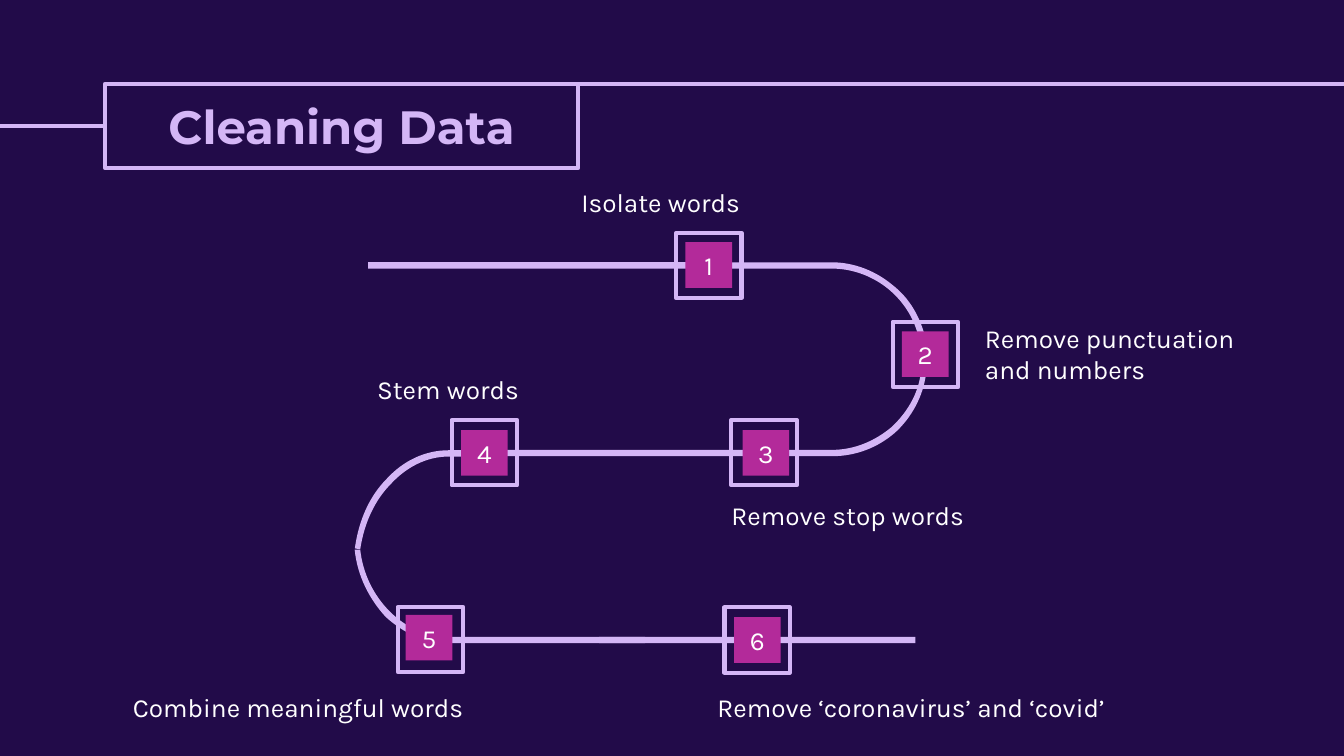
import pptx
import pptx.dml.color
import pptx.enum.shapes
import pptx.enum.text
import pptx.oxml.ns
import pptx.util
from lxml import etree

Pt = pptx.util.Pt
ALIGN = pptx.enum.text.PP_ALIGN
ANCHOR = pptx.enum.text.MSO_ANCHOR
NAVY, LILAC, MAGENTA, WHITE = "220B49", "D4B6F6", "B32A9A", "FFFFFF"

# Content: number, frame corner, square corner, label, label box, label alignment
STEPS = [
    ("1", (362.2, 124.7), (367.2, 129.8), "Isolate words",
     (233, 92.9, 170.6, 29.5), ALIGN.RIGHT),
    ("2", (478.3, 172.4), (483.2, 177.5), "Remove punctuation and numbers",
     (520.6, 165.3, 151.2, 33.1), ALIGN.LEFT),
    ("3", (391.8, 225), (397.8, 230.4), "Remove stop words",
     (384.8, 260.6, 151.2, 29.5), ALIGN.LEFT),
    ("4", (242, 225), (247, 230.4), "Stem words",
     (151.9, 193, 133.2, 29.5), ALIGN.RIGHT),
    ("5", (213.1, 325.1), (217.4, 329.4), "Combine meaningful words",
     (64.1, 363.3, 193, 33.1), ALIGN.LEFT),
    ("6", (388.1, 325.4), (393.3, 330.7), "Remove ‘coronavirus’ and ‘covid’",
     (377.3, 363.3, 247.7, 24.5), ALIGN.LEFT),
]
FRAME_SIZE, SQUARE_SIZE = 35, (25, 24.5)

# Road bands: outline points; six numbers make a cubic curve
BARS = [(321, 341.2, 76.4, 3.4), (414, 341.2, 76.4, 3.4), (197.3, 140.5, 175, 3.4)]
BENDS = [
    [(193, 294.5), (190, 294.5),
     (191.5, 308.9, 198, 321.1, 206.6, 330.5), (216, 339.1, 227.5, 344.6, 240.5, 344.6),
     (345.6, 344.6), (345.6, 341.2), (240.5, 341.2),
     (228.2, 341.2, 217.4, 336.2, 208.8, 327.6), (200.2, 319, 194.4, 307.4, 193, 294.5)],
    [(240.5, 241.2),
     (227.5, 241.2, 216, 247, 207.4, 256.3), (198, 265.7, 192.2, 278.6, 190.1, 293.8),
     (193, 294.3),
     (195.1, 280.1, 200.9, 267.8, 209.5, 259.2), (217.4, 250.6, 228.2, 244.6, 240.5, 244.6),
     (251.3, 244.6), (251.3, 241.2)],
    [(493.2, 200.2),
     (491.8, 211.7, 485.3, 221.8, 477.4, 229), (468.7, 236.2, 457.9, 241, 445.7, 241),
     (268.6, 241), (268.6, 244.4), (445.7, 244.4),
     (458.6, 244.4, 470.2, 239.8, 479.5, 231.8), (488.2, 223.9, 494.6, 212.4, 496.1, 200.2)],
    [(390.2, 140.5), (390.2, 143.9), (445.7, 143.9),
     (457.2, 143.9, 468, 148.3, 475.9, 154.8), (484.6, 162, 490.3, 171.4, 492.5, 182.2),
     (496.1, 182.2),
     (493.2, 169.9, 487.4, 159.8, 478.1, 152.6), (469.4, 145.4, 457.9, 140.5, 445.7, 140.5)],
]
UNITS = 100  # drawing units per point

deck = pptx.Presentation()
deck.slide_width, deck.slide_height = Pt(720), Pt(405)
page = deck.slides.add_slide(deck.slide_layouts[6])


def color(value):
    return pptx.dml.color.RGBColor.from_string(value)


def paint(shape, fill=None, line=None):
    shape.shadow.inherit = False
    if fill:
        shape.fill.solid()
        shape.fill.fore_color.rgb = color(fill)
    else:
        shape.fill.background()
    if line:
        shape.line.color.rgb = color(line)
        shape.line.width = Pt(2.25)
    else:
        shape.line.fill.background()


def add_rectangle(left, top, width, height, fill=None, line=None):
    box = page.shapes.add_shape(pptx.enum.shapes.MSO_SHAPE.RECTANGLE,
                                Pt(left), Pt(top), Pt(width), Pt(height))
    paint(box, fill, line)
    return box


def write(box, text, align, anchor, size=14, font="Karla", ink=WHITE, bold=False):
    frame = box.text_frame
    frame.word_wrap = True
    frame.vertical_anchor = anchor
    frame.margin_left = frame.margin_right = Pt(7.2)
    frame.margin_top = frame.margin_bottom = Pt(7.2)
    para = frame.paragraphs[0]
    para.text = text
    para.alignment = align
    para.font.size, para.font.name, para.font.bold = Pt(size), font, bold
    para.font.color.rgb = color(ink)


def add_bend(outline):
    ends = [tuple(round(value * UNITS) for value in part[-2:]) for part in outline]
    left, top = (min(values) for values in zip(*ends))
    builder = page.shapes.build_freeform(*ends[0], scale=Pt(1) / UNITS)
    builder.add_line_segments(ends[1:], close=True)
    bend = builder.convert_to_shape()
    paint(bend, LILAC)
    # Turn the segments that have control points into cubic curves
    for part, segment in zip(outline[1:], bend._element.xpath(".//a:lnTo")):
        if len(part) == 6:
            segment.tag = pptx.oxml.ns.qn("a:cubicBezTo")
            for index, (x, y) in enumerate((part[:2], part[2:4])):
                control = etree.Element(pptx.oxml.ns.qn("a:pt"),
                                        x=str(round(x * UNITS) - left),
                                        y=str(round(y * UNITS) - top))
                segment.insert(index, control)


def add_line(left, right, y):
    line = page.shapes.add_connector(pptx.enum.shapes.MSO_CONNECTOR.STRAIGHT,
                                     Pt(left), Pt(y), Pt(right), Pt(y))
    line.line.color.rgb = color(LILAC)
    line.line.width = Pt(2.25)
    etree.SubElement(line._element.spPr, pptx.oxml.ns.qn("a:effectLst"))
    return line


# Background
page.background.fill.solid()
page.background.fill.fore_color.rgb = color(NAVY)

# Winding road
for bar in BARS:
    add_rectangle(*bar, fill=LILAC)
for bend_outline in BENDS:
    add_bend(bend_outline)

# Numbered steps with labels
for number, frame_at, square_at, label, label_at, align in STEPS:
    add_rectangle(*frame_at, FRAME_SIZE, FRAME_SIZE, line=LILAC)
    square = add_rectangle(*square_at, *SQUARE_SIZE, fill=MAGENTA)
    write(square, number, ALIGN.CENTER, ANCHOR.MIDDLE)
    label_box = page.shapes.add_textbox(*map(Pt, label_at))
    write(label_box, label, align, ANCHOR.TOP)

# Title and its lines
title_left, title_top, title_width, title_height = 56.2, 45, 253.6, 45
title = add_rectangle(title_left, title_top, title_width, title_height, NAVY, LILAC)
write(title, "Cleaning Data", ALIGN.CENTER, ANCHOR.MIDDLE, 25, "Montserrat", LILAC, True)
add_line(title_left + title_width, 720, title_top)
add_line(0, title_left, title_top + title_height / 2).end_connect(title, 1)

deck.save("out.pptx")
